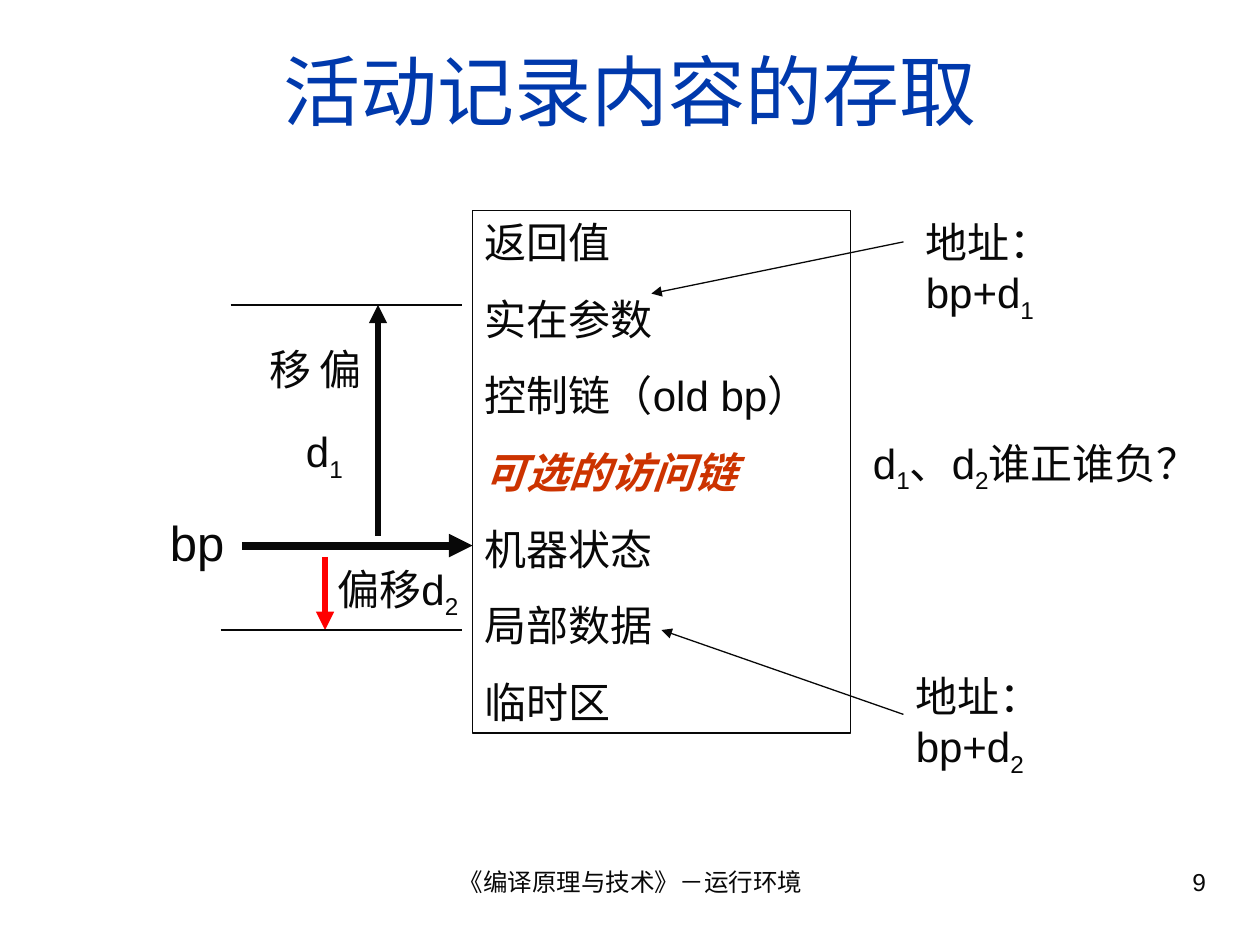
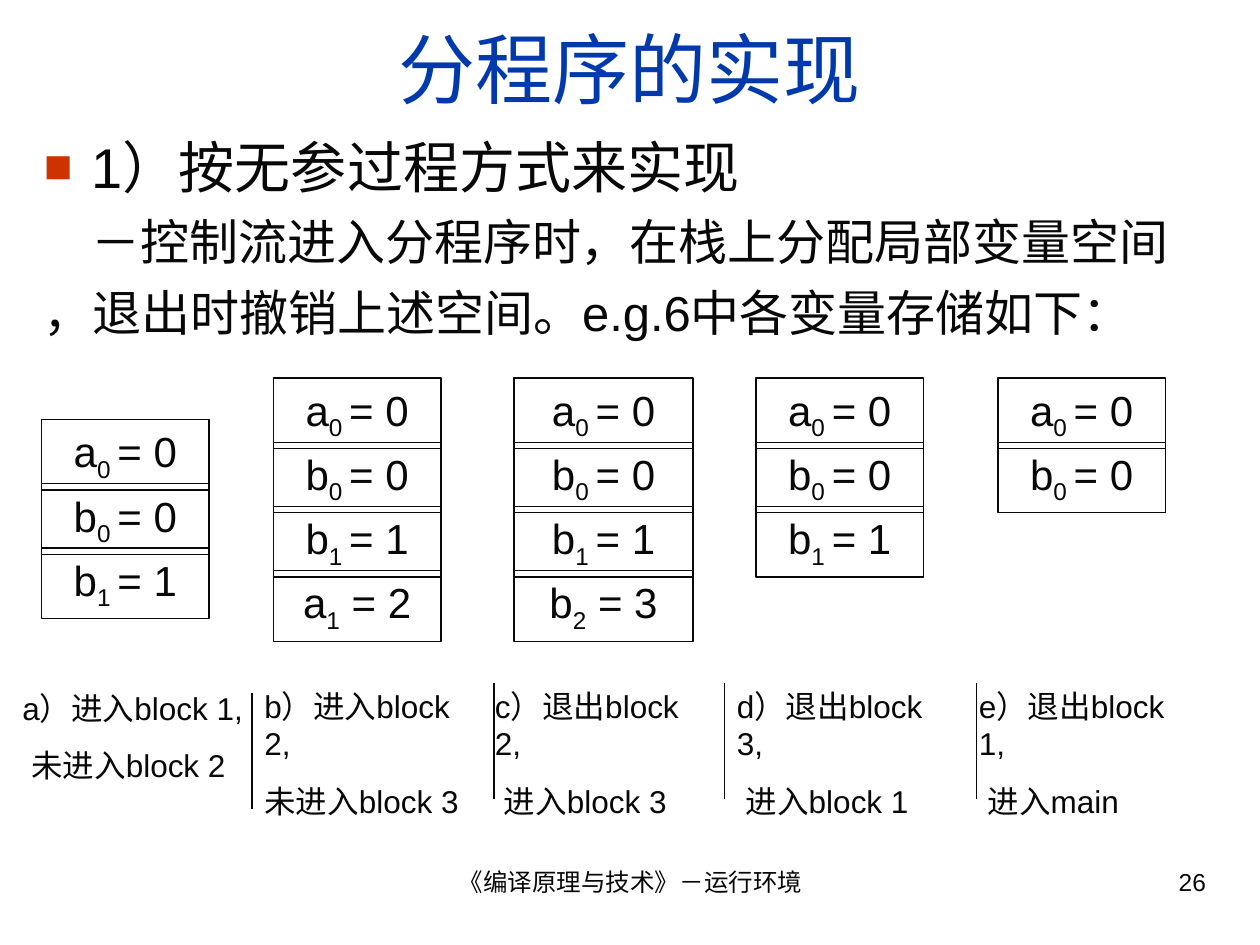
from lxml import etree
from pptx import Presentation
from pptx.dml.color import RGBColor
from pptx.enum.shapes import MSO_CONNECTOR, MSO_SHAPE
from pptx.enum.text import MSO_ANCHOR, MSO_AUTO_SIZE, PP_ALIGN
from pptx.oxml.ns import qn
from pptx.util import Inches, Pt

LEFT, CENTER, RIGHT = PP_ALIGN.LEFT, PP_ALIGN.CENTER, PP_ALIGN.RIGHT
TOP, MIDDLE = MSO_ANCHOR.TOP, MSO_ANCHOR.MIDDLE
GROW, FIXED = MSO_AUTO_SIZE.SHAPE_TO_FIT_TEXT, MSO_AUTO_SIZE.NONE
STRAIGHT, RECTANGLE = MSO_CONNECTOR.STRAIGHT, MSO_SHAPE.RECTANGLE

INK = RGBColor(0x08, 0x08, 0x08)
TITLE_BLUE = RGBColor(0x00, 0x39, 0xAC)
ACCENT = RGBColor(0xCC, 0x33, 0x00)
RED = RGBColor(0xFF, 0x00, 0x00)
FONT = "Arial"
FOOTER = "《编译原理与技术》－运行环境"
TITLE_ONLY = 5

# Stack contents: spans between bars alternate normal and subscript
A0, B0, B1 = "a|0 |= 0", "b|0 |= 0", "b|1 |= 1"
CELL_HEIGHT, CELL_PITCH = 0.56, 0.51


def inches(*lengths):
    return [Inches(length) for length in lengths]


def write(shape, lines, size=24, color=INK, align=LEFT, anchor=TOP, before=0, fit=GROW):
    """Fill a shape with paragraphs; "|" switches subscript, "\n" breaks a line."""
    frame = shape.text_frame
    frame.word_wrap = True
    frame.auto_size = fit
    frame.vertical_anchor = anchor
    frame.margin_left, frame.margin_right = inches(0.1, 0.1)
    frame.margin_top, frame.margin_bottom = inches(0.05, 0.05)
    for number, line in enumerate(lines):
        para = frame.add_paragraph() if number else frame.paragraphs[0]
        para.alignment = align
        para.space_before = Pt(before if number else 0)
        for position, piece in enumerate(line.split("|")):
            for row, text in enumerate(piece.split("\n")):
                if row:
                    para.add_line_break()
                span = para.add_run()
                span.text = text
                span.font.name = FONT
                span.font.size = Pt(size)
                span.font.color.rgb = color
                if position % 2:
                    span._r.get_or_add_rPr().set("baseline", "-25000")
    return frame


def add_label(slide, place, *lines, **style):
    return write(slide.shapes.add_textbox(*inches(*place)), lines, **style)


def add_frame(slide, place, *lines, width=0.75, **style):
    box = slide.shapes.add_shape(RECTANGLE, *inches(*place))
    box.shadow.inherit = False
    box.fill.background()
    box.line.color.rgb = INK
    box.line.width = Pt(width)
    return write(box, lines, **style)


def add_line(slide, start, end, width=0.75, color=INK, arrow=False):
    line = slide.shapes.add_connector(STRAIGHT, *inches(*start, *end))
    line.line.color.rgb = color
    line.line.width = Pt(width)
    if arrow:
        outline = line.line._get_or_add_ln()
        etree.SubElement(outline, qn("a:tailEnd"), type="triangle")
    etree.SubElement(line._element.spPr, qn("a:effectLst"))


def set_indent(para, margin, first=0.0):
    properties = para._p.get_or_add_pPr()
    properties.set("marL", str(Inches(margin)))
    properties.set("indent", str(Inches(first)))
    return properties


def add_page(deck, title, title_top, number):
    page = deck.slides.add_slide(deck.slide_layouts[TITLE_ONLY])
    heading = page.shapes.title
    heading.left, heading.top, heading.width, heading.height = inches(
        0.33, title_top, 9.34, 0.92)
    write(heading, [title], size=44, color=TITLE_BLUE, align=CENTER,
          anchor=MIDDLE, fit=FIXED)
    add_label(page, (3.42, 6.83, 3.17, 0.52), FOOTER, size=14, align=CENTER, fit=FIXED)
    add_label(page, (7.17, 6.83, 2.5, 0.52), str(number), size=14, align=RIGHT, fit=FIXED)
    return page


def add_stack(page, left, top, width, cells):
    for row, cell in enumerate(cells):
        add_frame(page, (left, top + row * CELL_PITCH, width, CELL_HEIGHT), cell,
                  align=CENTER)


def build_record_page(deck):
    page = add_page(deck, "活动记录内容的存取", 0.25, 9)

    # Activation record
    record = add_frame(
        page, (3.75, 1.67, 3, 4.15), "返回值", "实在参数", "控制链（old bp）",
        "可选的访问链", "机器状态", "局部数据", "临时区", width=1, before=15)
    access_link = record.paragraphs[3].runs[0].font
    access_link.color.rgb = ACCENT
    access_link.bold = access_link.italic = True

    # Base pointer and the two offsets
    add_line(page, (1.92, 4.33), (3.75, 4.33), width=4.5, arrow=True)
    add_label(page, (1.25, 4.02, 0.75, 0.57), "bp", size=28)
    add_line(page, (3, 4.25), (3, 2.42), width=3.5, arrow=True)
    add_line(page, (2.58, 4.42), (2.58, 5), width=3.5, color=RED, arrow=True)
    add_line(page, (1.83, 2.42), (3.67, 2.42), width=1)
    add_line(page, (1.75, 5), (3.67, 5), width=1.5)
    offset = add_label(page, (2.34, 2.67, 0.6, 0.83), "偏移")
    offset.margin_left, offset.margin_right = inches(0.05, 0.05)
    offset.margin_top, offset.margin_bottom = inches(0.1, 0.1)
    offset._txBody.bodyPr.set("vert", "eaVert")
    add_label(page, (2.33, 3.33, 0.83, 0.56), "d|1")
    add_label(page, (2.58, 4.42, 1.25, 0.56), "偏移d|2")

    # Addresses and the question
    add_label(page, (7.25, 1.67, 2.17, 0.96), "地址：\nbp+d|1")
    add_line(page, (7.17, 1.92), (5.17, 2.33), arrow=True)
    add_label(page, (7.17, 5.27, 2.17, 0.96), "地址：\nbp+d|2")
    add_line(page, (7.17, 5.67), (5.25, 5), arrow=True)
    add_label(page, (6.83, 3.42, 3, 0.56), "d|1|、d|2|谁正谁负？")


def build_block_page(deck):
    page = add_page(deck, "分程序的实现", 0.08, 26)

    # Explanation with one bulleted line
    body = add_label(
        page, (0.25, 1, 9.34, 2), "1）按无参过程方式来实现",
        "－控制流进入分程序时，在栈上分配局部变量空间",
        "，退出时撤销上述空间。e.g.6中各变量存储如下：",
        size=28, before=7, fit=FIXED)
    bulleted, detail, rest = body.paragraphs
    bulleted.runs[0].font.size = Pt(32)
    properties = set_indent(bulleted, 0.38, -0.38)
    bullet_color = etree.SubElement(properties, qn("a:buClr"))
    etree.SubElement(bullet_color, qn("a:srgbClr"), val=str(ACCENT))
    etree.SubElement(properties, qn("a:buSzPct"), val="85000")
    etree.SubElement(properties, qn("a:buFont"), typeface=FONT)
    etree.SubElement(properties, qn("a:buChar"), char="■")
    set_indent(detail, 0.38)
    set_indent(rest, 0.38, -0.38)

    # Stack states: left, top, width, cells
    stacks = [
        (0.33, 3.33, 1.33, [A0, B0, B1]),
        (2.17, 3, 1.33, [A0, B0, B1, "a|1| = 2"]),
        (4.08, 3, 1.42, [A0, B0, B1, "b|2| = 3"]),
        (6, 3, 1.33, [A0, B0, B1]),
        (7.92, 3, 1.33, [A0, B0]),
    ]
    for stack in stacks:
        add_stack(page, *stack)

    # Captions: left, top, width, indent of second line, lines
    captions = [
        (0.08, 5.42, 2, 0.07, "a）进入block 1,", "未进入block 2"),
        (2, 5.4, 1.92, 0, "b）进入block 2,", "未进入block 3"),
        (3.83, 5.4, 1.92, 0.07, "c）退出block 2,", "进入block 3"),
        (5.75, 5.4, 1.92, 0.07, "d）退出block 3,", "进入block 1"),
        (7.67, 5.4, 1.92, 0.07, "e）退出block 1,", "进入main"),
    ]
    for left, top, width, indent, *lines in captions:
        caption = add_label(page, (left, top, width, 1.16), *lines, size=18, before=11.2)
        set_indent(caption.paragraphs[1], indent)

    # Dividers between captions
    for left, top in [(2, 5.5), (3.92, 5.42), (5.75, 5.42), (7.75, 5.42)]:
        add_line(page, (left, top), (left, top + 0.92))


def main():
    deck = Presentation()
    deck.slide_width, deck.slide_height = inches(10, 7.5)
    build_record_page(deck)
    build_block_page(deck)
    deck.save("out.pptx")


if __name__ == "__main__":
    main()
